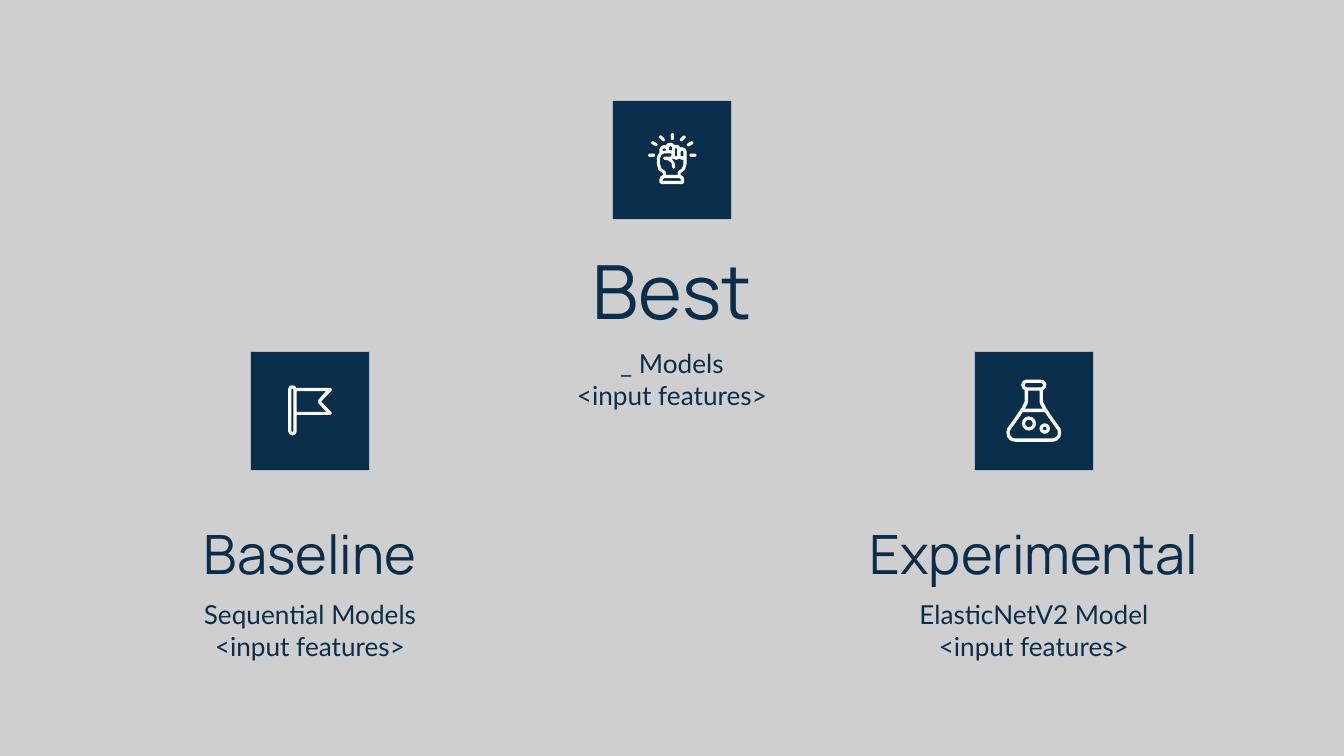
from pptx import Presentation
from pptx.dml.color import RGBColor
from pptx.enum.shapes import MSO_SHAPE as Kind
from pptx.enum.text import MSO_ANCHOR as Anchor, PP_ALIGN as Align
from pptx.util import Pt

NAVY = RGBColor(0x09, 0x2E, 0x4B)
WHITE = RGBColor(0xFF, 0xFF, 0xFF)
GRAY = RGBColor(0xCF, 0xCF, 0xCF)
SIDE = 63.4
WIDE = 202.3
UNIT = 0.072

FIST = [
    [(430, 312), (405, 318), (395, 333), (380, 330), (358, 340), (348, 360),
     (348, 385), (332, 410), (328, 435), (328, 470), (340, 515), (374, 540),
     (374, 553), (355, 565), (348, 585), (348, 608), (360, 620), (520, 620),
     (532, 608), (532, 585), (525, 565), (505, 553), (505, 540), (537, 515),
     (550, 470), (550, 380), (542, 357), (518, 346), (503, 348), (490, 332),
     (470, 328), (457, 330), (447, 318)],
    [(382, 353), (372, 362), (372, 375), (396, 372), (396, 362)],
    [(430, 336), (420, 345), (420, 368), (434, 368), (441, 372), (441, 345)],
    [(470, 352), (462, 360), (462, 408), (470, 416), (480, 408), (480, 360)],
    [(515, 370), (506, 380), (506, 408), (515, 416), (526, 408), (526, 380)],
    [(382, 392), (430, 392), (440, 403), (430, 416), (385, 416), (374, 428),
     (385, 440), (415, 444), (438, 465), (442, 495), (453, 507), (465, 495),
     (460, 460), (440, 435), (448, 430), (462, 438), (475, 440), (494, 432),
     (515, 440), (526, 437), (526, 470), (515, 505), (488, 523), (482, 535),
     (482, 553), (398, 553), (398, 535), (390, 523), (362, 503), (352, 470),
     (352, 428), (362, 403)],
    [(382, 577), (372, 587), (372, 596), (508, 596), (508, 587), (498, 577)],
]
FLAG = [
    [(310, 250), (290, 253), (278, 275), (278, 595), (290, 615), (310, 622),
     (330, 615), (340, 595), (340, 470), (590, 470), (603, 460), (600, 450),
     (523, 370), (600, 290), (603, 278), (590, 268), (337, 268), (328, 253)],
    [(310, 273), (302, 280), (302, 592), (310, 598), (317, 592), (317, 280)],
    [(560, 292), (500, 360), (500, 380), (560, 447), (341, 447), (341, 292)],
]
FLASK = [
    [(390, 207), (365, 213), (350, 230), (346, 248), (353, 270), (372, 287),
     (372, 370), (350, 415), (300, 490), (242, 570), (236, 600), (242, 635),
     (265, 660), (300, 670), (580, 670), (615, 660), (638, 635), (644, 600),
     (638, 570), (580, 490), (530, 415), (508, 370), (508, 287), (527, 270),
     (534, 248), (530, 230), (515, 213), (490, 207)],
    [(390, 231), (376, 237), (371, 248), (376, 259), (390, 265), (490, 265),
     (504, 259), (509, 248), (504, 237), (490, 231)],
    [(397, 290), (397, 375), (390, 395), (373, 424), (507, 424), (490, 395),
     (483, 375), (483, 290)],
    [(358, 449), (320, 505), (264, 583), (260, 600), (265, 622), (280, 639),
     (300, 645), (580, 645), (600, 639), (615, 622), (620, 600), (616, 583),
     (560, 505), (522, 449)],
]
RAYS = [(443, 267, 90), (521, 280, -45), (365, 280, 45), (576, 320, -30),
        (310, 320, 30), (597, 405, 0), (289, 405, 0)]
RINGS = [(403, 533, 106), (521, 571, 78)]
MARKS = [(Kind.ROUNDED_RECTANGLE, x, y, 52, 24, 0.5, turn) for x, y, turn in RAYS]
DOTS = [(Kind.DONUT, x, y, size, size, 25 / size, 0) for x, y, size in RINGS]

ITEMS = [
    ("Baseline", 29, "Sequential Models", 166.1, 188.5, FLAG, []),
    ("Best", 40, "_ Models", 360, 54, FIST, MARKS),
    ("Experimental", 29, "ElasticNetV2 Model", 553.9, 188.5, FLASK, DOTS),
]

deck = Presentation()
deck.slide_width, deck.slide_height = Pt(720), Pt(405)
slide = deck.slides.add_slide(deck.slide_layouts[6])
slide.background.fill.solid()
slide.background.fill.fore_color.rgb = GRAY
shapes = slide.shapes


def write(mid, top, high, lines, font, size, anchor):
    box = shapes.add_textbox(Pt(mid - WIDE / 2), Pt(top), Pt(WIDE), Pt(high))
    frame = box.text_frame
    frame.word_wrap = True
    frame.vertical_anchor = anchor
    frame.margin_left = frame.margin_right = Pt(7.2)
    frame.margin_top = frame.margin_bottom = Pt(7.2)
    for i, line in enumerate(lines):
        para = frame.add_paragraph() if i else frame.paragraphs[0]
        para.alignment = Align.CENTER
        run = para.add_run()
        run.text = line
        run.font.name = font
        run.font.size = Pt(size)
        run.font.color.rgb = NAVY


def paint(shape, color):
    shape.shadow.inherit = False
    shape.fill.solid()
    shape.fill.fore_color.rgb = color
    shape.line.fill.background()


for name, size, model, mid, top, icon, extras in ITEMS:
    write(mid, top + 73.2, 59, [name], "Manrope", size, Anchor.BOTTOM)
    write(mid, top + 125, 44.6, [model, "<input features>"], "Lato", 14, Anchor.TOP)

for name, size, model, mid, top, icon, extras in ITEMS:
    left = mid - SIDE / 2
    paint(shapes.add_shape(Kind.RECTANGLE, Pt(left), Pt(top), Pt(SIDE), Pt(SIDE)), NAVY)
    pen = shapes.build_freeform(*icon[0][0], scale=Pt(UNIT))
    pen.add_line_segments(icon[0][1:])
    for hole in icon[1:]:
        pen.move_to(*hole[0])
        pen.add_line_segments(hole[1:])
    paint(pen.convert_to_shape(Pt(left), Pt(top)), WHITE)
    for kind, x, y, wide, high, bend, turn in extras:
        mark = shapes.add_shape(
            kind, Pt(left + (x - wide / 2) * UNIT), Pt(top + (y - high / 2) * UNIT),
            Pt(wide * UNIT), Pt(high * UNIT))
        mark.adjustments[0] = bend
        mark.rotation = turn
        paint(mark, WHITE)

deck.save("out.pptx")
